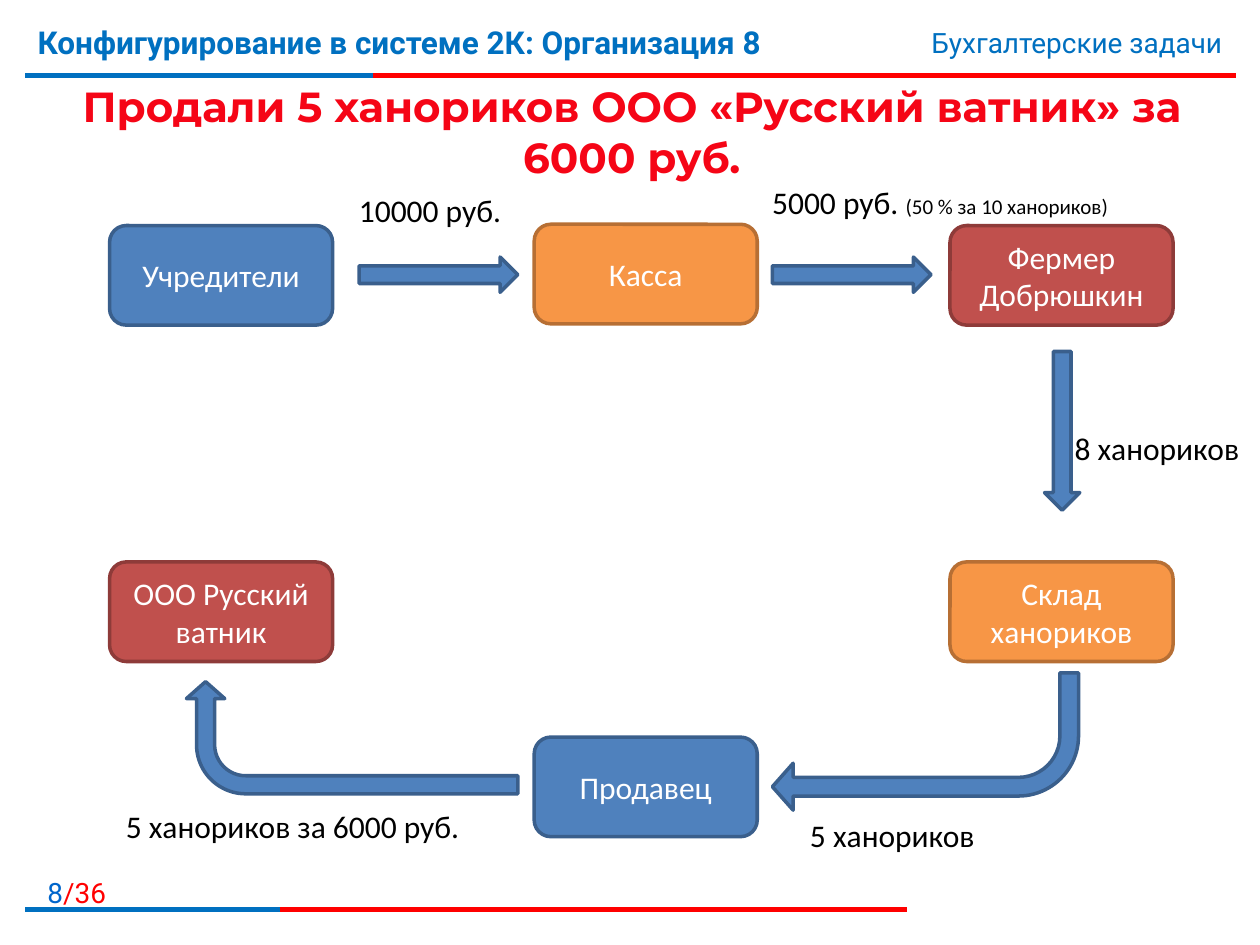
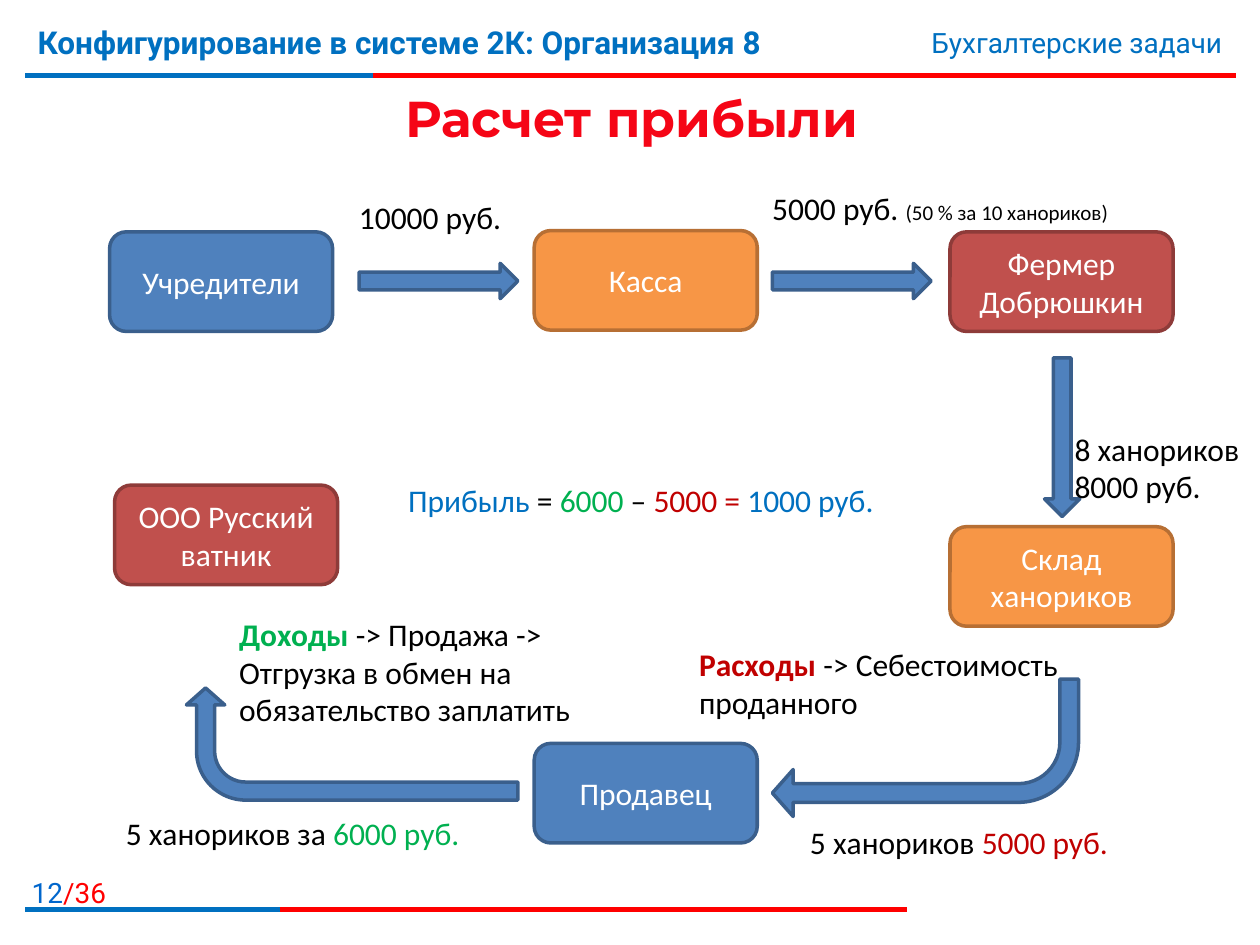
from lxml.etree import SubElement
from pptx import Presentation
from pptx.dml.color import RGBColor
from pptx.enum.shapes import MSO_CONNECTOR as Connector, MSO_SHAPE as Shape
from pptx.enum.text import MSO_ANCHOR as Anchor, MSO_AUTO_SIZE as AutoSize, PP_ALIGN as Align
from pptx.oxml import parse_xml
from pptx.oxml.ns import nsdecls, qn
from pptx.util import Inches, Pt

BLUE, ORANGE, RED = ("4F81BD", "3A5F8C"), ("F79646", "B76F34"), ("C0504D", "8E3B39")
BRIGHT_RED, BRAND_BLUE, PAGE_BLUE = "FF0000", "0070C0", "0066CC"
BLACK, WHITE, INCOME, EXPENSE = "000000", "FFFFFF", "00B050", "C00000"
BODY = {"name": "Calibri", "size": Pt(18), "bold": False}
HEADER = {"name": "Roboto", "size": Pt(16)}


def rgb(value):
    """Turn a hex string into a colour."""
    return RGBColor.from_string(value)


def apply(target, values):
    """Set each named attribute of the target."""
    for name, value in values.items():
        setattr(target, name, value)


class Deck:
    """Hold the presentation, its style and the current slide."""

    def __init__(self):
        """Start an empty presentation of the right size."""
        self.presentation = Presentation()
        apply(self.presentation, {"slide_width": Inches(10), "slide_height": Inches(7.5)})
        self.slide = None

    def new_slide(self, number, title, size, height):
        """Add a slide with its title, bands, header and page number."""
        self.slide = self.presentation.slides.add_slide(self.presentation.slide_layouts[5])
        for top, end, blue_end in ((0.6, 9.81, 2.96), (7.22, 7.2, 2.22)):
            self.line(top, end, BRIGHT_RED)
            self.line(top, blue_end, BRAND_BLUE)
        self.text((0, 6.9, 0.94, 0.32), [[(str(number), PAGE_BLUE), ("/36", BRIGHT_RED)]],
                  HEADER, Align.RIGHT)
        self.text((0.2, 0.13, 7.4, 0.62),
                  [[("Конфигурирование в системе 2К: Организация 8", BRAND_BLUE)]],
                  {**HEADER, "size": Pt(18), "bold": True})
        self.text((5.94, 0.15, 3.86, 0.37), [[("Бухгалтерские задачи", BRAND_BLUE)]],
                  HEADER, Align.RIGHT)
        self.title(title, size, height)

    def title(self, text, size, height):
        """Place the title and give it a red gradient with a white outline."""
        shape = self.slide.shapes.title
        self.place(shape, (0.21, 0.63, 9.61, height))
        apply(shape.text_frame, {"word_wrap": True, "auto_size": AutoSize.NONE,
                                 "vertical_anchor": Anchor.MIDDLE})
        paragraph = shape.text_frame.paragraphs[0]
        paragraph.alignment = Align.CENTER
        run = paragraph.add_run()
        run.text = text
        apply(run.font, {"name": "Montserrat", "size": Pt(size), "bold": True})
        fill = run.font.fill
        fill.gradient()
        fill.gradient_angle = 270
        for stop, position, color in zip(fill.gradient_stops, (0.55, 0.86), ("F50516", EXPENSE)):
            stop.position = position
            stop.color.rgb = rgb(color)
        outline = parse_xml(f'<a:ln {nsdecls("a")} w="9525"><a:solidFill>'
                            f'<a:srgbClr val="{WHITE}"/></a:solidFill></a:ln>')
        run._r.get_or_add_rPr().insert(0, outline)

    def place(self, shape, box):
        """Move and size a shape in inches."""
        apply(shape, dict(zip(("left", "top", "width", "height"), map(Inches, box))))

    def line(self, top, end, color):
        """Draw a horizontal band line from the left margin."""
        connector = self.slide.shapes.add_connector(
            Connector.STRAIGHT, Inches(0.2), Inches(top), Inches(end), Inches(top))
        connector.line.width = Pt(3)
        connector.line.color.rgb = rgb(color)
        SubElement(connector._element.spPr, qn("a:effectLst"))

    def fill_text(self, frame, paragraphs, style, align):
        """Fill a text frame with runs of text, colour and optional format."""
        for index, runs in enumerate(paragraphs):
            paragraph = frame.add_paragraph() if index else frame.paragraphs[0]
            paragraph.alignment = align
            for text, color, *extra in runs:
                if text == "\n":
                    paragraph.add_line_break()
                    continue
                run = paragraph.add_run()
                run.text = text
                apply(run.font, {**style, **(extra[0] if extra else {})})
                run.font.color.rgb = rgb(color)

    def text(self, box, paragraphs, style=BODY, align=Align.LEFT):
        """Add a wrapped text box."""
        shape = self.slide.shapes.add_textbox(*map(Inches, box))
        apply(shape.text_frame, {"word_wrap": True, "auto_size": AutoSize.NONE})
        self.fill_text(shape.text_frame, paragraphs, style, align)

    def shape(self, kind, box, colors, rotation=0, adjustments=()):
        """Add a filled preset shape with a darker outline."""
        shape = self.slide.shapes.add_shape(kind, *map(Inches, box))
        shape.shadow.inherit = False
        shape.rotation = rotation
        for index, value in enumerate(adjustments):
            shape.adjustments[index] = value
        shape.fill.solid()
        shape.fill.fore_color.rgb = rgb(colors[0])
        shape.line.color.rgb = rgb(colors[1])
        shape.line.width = Pt(2)
        return shape

    def node(self, left, top, label, colors):
        """Add a participant of the flow."""
        shape = self.shape(Shape.ROUNDED_RECTANGLE, (left, top, 1.77, 0.79), colors)
        apply(shape.text_frame, {"word_wrap": True, "vertical_anchor": Anchor.MIDDLE})
        self.fill_text(shape.text_frame, [[(label, WHITE)]], BODY, Align.CENTER)

    def flow(self, shift, warehouse_top, customer, received, shipped, sold):
        """Draw the trade flow, moved down by the shift."""
        self.node(0.87, 1.79 + shift, "Учредители", BLUE)
        self.node(4.24, 1.78 + shift, "Касса", ORANGE)
        self.node(7.54, 1.79 + shift, "Фермер Добрюшкин", RED)
        for left in (2.85, 6.13):
            self.shape(Shape.RIGHT_ARROW, (left, 2.04 + shift, 1.26, 0.28), BLUE)
        self.shape(Shape.DOWN_ARROW, (8.29, 2.79 + shift, 0.28, 1.26), BLUE)
        self.node(7.54, warehouse_top, "Склад ханориков", ORANGE)
        self.node(4.24, 5.85 + shift, "Продавец", BLUE)
        self.node(*customer, "ООО Русский ватник", RED)
        for box, rotation, thickness in (((6.13, 5.34 + shift, 2.43, 1.09), 180, 0.136),
                                         ((2.35, 4.54 + shift, 0.89, 2.63), 270, 0.161)):
            self.shape(Shape.BENT_ARROW, box, BLUE, rotation, (thickness, 0.171, 0.151, 0.438))
        self.text((2.75, 1.47 + shift, 1.38, 0.4), [[("10000 руб.", BLACK)]])
        self.text((6.03, 1.4 + shift, 3.79, 0.4),
                  [[("5000 руб. ", BLACK), ("(50 % за 10 ханориков)", BLACK, {"size": Pt(12)})]])
        self.text((8.43, 3.36, 1.57, 0.4 if len(received) == 1 else 0.71), [received])
        self.text((6.33, 6.43 + shift, 2.65, 0.4), [shipped])
        self.text((0.9, 6.36 + shift, 3.06, 0.4), [sold])


def main():
    """Build both slides and save them."""
    deck = Deck()
    bold = {"bold": True}

    deck.new_slide(8, "Продали 5 ханориков ООО «Русский ватник» за 6000 руб.", 24, 0.82)
    deck.flow(0, 4.46, (0.87, 4.46), [("8 ханориков", BLACK)], [("5 ханориков", BLACK)],
              [("5 ханориков за 6000 руб.", BLACK)])

    deck.new_slide(12, "Расчет прибыли", 28.8, 0.6)
    deck.flow(0.05, 4.18, (0.91, 3.85),
              [("8 ханориков", BLACK), ("\n", BLACK), ("8000 руб.", BLACK)],
              [("5 ханориков ", BLACK), ("5000 руб.", EXPENSE)],
              [("5 ханориков за ", BLACK), ("6000 руб.", INCOME)])
    deck.text((1.8, 4.83, 2.9, 1.01),
              [[("Доходы", INCOME, bold), (" -> Продажа ->", BLACK)],
               [("Отгрузка в обмен на обязательство заплатить", BLACK)]])
    deck.text((5.45, 5.07, 3.3, 0.71),
              [[("Расходы ", EXPENSE, bold), ("-> Себестоимость проданного", BLACK)]])
    deck.text((3.14, 3.77, 4.21, 0.4),
              [[("Прибыль", BRAND_BLUE), (" = ", BLACK), ("6000", INCOME), (" – ", BLACK),
                ("5000 = ", EXPENSE), ("1000 руб.", BRAND_BLUE)]])
    deck.presentation.save("out.pptx")


main()
